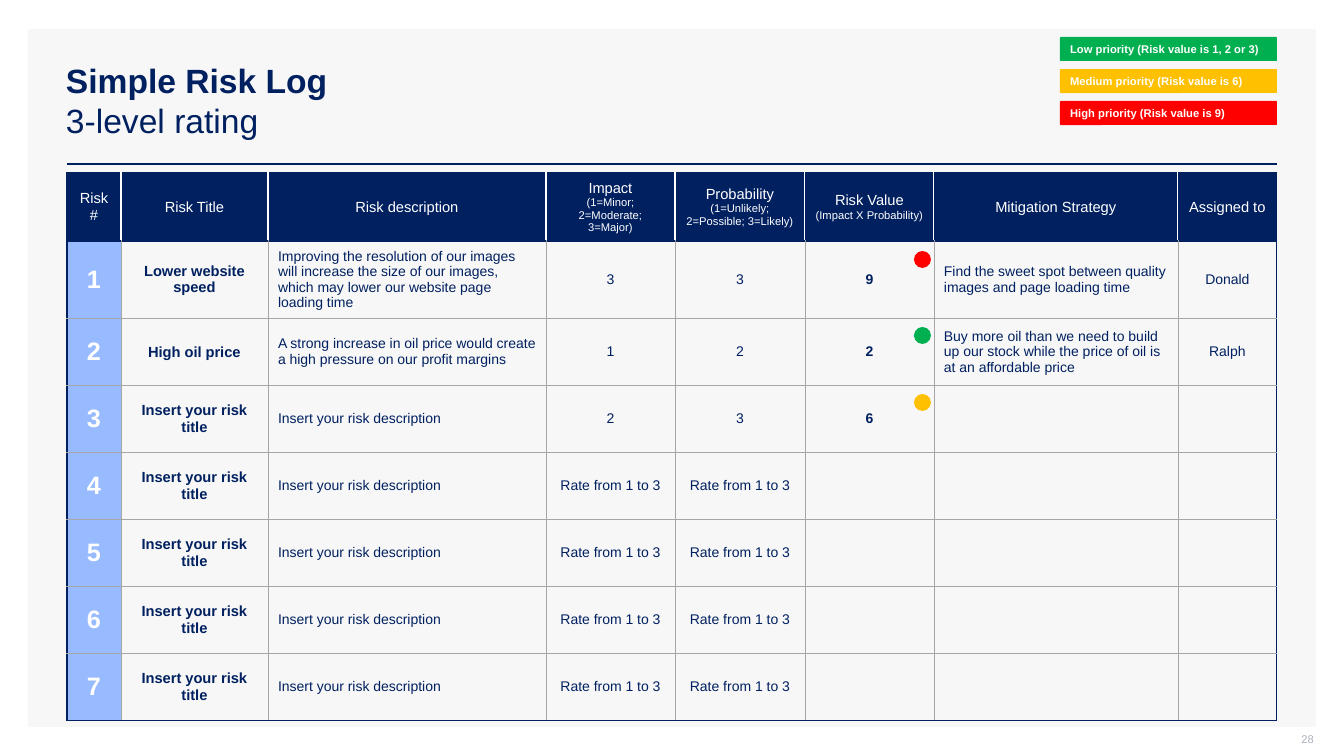
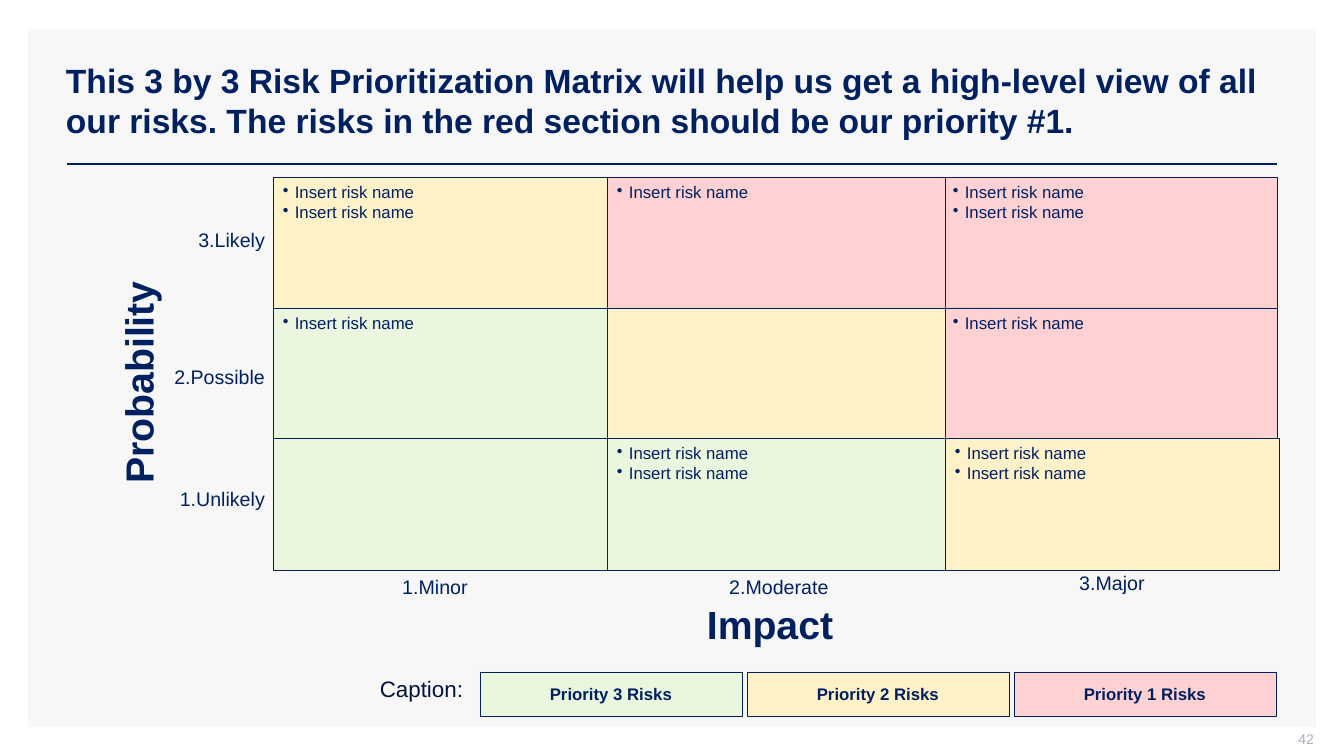
import lxml.etree
import pptx
import pptx.dml.color
import pptx.enum.shapes
import pptx.enum.text
import pptx.oxml.ns
import pptx.util

SCALE = 914400 / 100.8  # EMU in one px
FONT = "Arial"
COLORS = {
    "navy": "002060", "caption": "00153E", "white": "FFFFFF", "panel": "F7F7F7",
    "number": "ADAFBB", "grid": "A6A6A6", "index": "98BAFF",
    "low": "00B050", "medium": "FFC000", "high": "FF0000",
    "pale_low": "EBF6DE", "pale_medium": "FFF2C9", "pale_high": "FFD1D2",
}
SHAPE = pptx.enum.shapes.MSO_SHAPE
ALIGN = {"l": pptx.enum.text.PP_ALIGN.LEFT, "c": pptx.enum.text.PP_ALIGN.CENTER,
         "r": pptx.enum.text.PP_ALIGN.RIGHT}
TOP = pptx.enum.text.MSO_ANCHOR.TOP
MIDDLE = pptx.enum.text.MSO_ANCHOR.MIDDLE
qn = pptx.oxml.ns.qn

HEADERS = [
    ["Risk #"], ["Risk Title"], ["Risk description"],
    ["Impact", "(1=Minor; 2=Moderate; 3=Major)"],
    ["Probability", "(1=Unlikely; 2=Possible; 3=Likely)"],
    ["Risk Value", "(Impact X Probability)"],
    ["Mitigation Strategy"], ["Assigned to"],
]
TITLE, DESCRIPTION, RATE = "Insert your risk title", "Insert your risk description", "Rate from 1 to 3"
RISKS = [
    ["Lower website speed",
     "Improving the resolution of our images will increase the size of our images, "
     "which may lower our website page loading time",
     "3", "3", "9", "Find the sweet spot between quality images and page loading time", "Donald"],
    ["High oil price",
     "A strong increase in oil price would create a high pressure on our profit margins",
     "1", "2", "2",
     "Buy more oil than we need to build up our stock while the price of oil is at an affordable price",
     "Ralph"],
    [TITLE, DESCRIPTION, "2", "3", "6", "", ""],
] + [[TITLE, DESCRIPTION, RATE, RATE, "", "", ""]] * 4
# Format of each body column: size, colour, bold, alignment
COLUMN_FORMATS = [
    (18, "white", True, "c"), (10.5, "navy", True, "c"), (10, "navy", False, "l"),
    (10, "navy", False, "c"), (10, "navy", False, "c"), (10, "navy", True, "c"),
    (10, "navy", False, "l"), (10, "navy", False, "c"),
]
# Matrix rows from likely to unlikely: fill and number of risks per cell
MATRIX = [
    [("pale_medium", 2), ("pale_high", 1), ("pale_high", 2)],
    [("pale_low", 1), ("pale_medium", 0), ("pale_high", 1)],
    [("pale_low", 0), ("pale_low", 2), ("pale_medium", 2)],
]


def px(n):
    return pptx.util.Emu(round(n * SCALE))


def box(*lengths):
    return [px(n) for n in lengths]


def rgb(name):
    return pptx.dml.color.RGBColor.from_string(COLORS[name])


def write(tf, lines, size=12, color="navy", bold=False, align="l", bullet=False):
    """Fill a text frame; a line is a string or (string, format changes)."""
    for i, line in enumerate(lines):
        text, changes = (line, {}) if isinstance(line, str) else line
        p = tf.paragraphs[0] if i == 0 else tf.add_paragraph()
        p.alignment = ALIGN[align]
        if bullet:
            pPr = p._p.get_or_add_pPr()
            pPr.set("marL", str(px(12)))
            pPr.set("indent", str(-px(12)))
            lxml.etree.SubElement(pPr, qn("a:buChar")).set("char", "•")
        r = p.add_run()
        r.text = text
        values = {"name": FONT, "size": size, "bold": bold, **changes}
        values["size"] = pptx.util.Pt(values["size"])
        for key, value in values.items():
            setattr(r.font, key, value)
        r.font.color.rgb = rgb(color)


def add_text(s, at, lines, anchor=TOP, wrap=True, insets=(10, 5, 10, 5), **fmt):
    sp = s.shapes.add_textbox(*box(*at))
    tf = sp.text_frame
    frame = {"word_wrap": wrap, "vertical_anchor": anchor}
    frame.update(zip(("margin_left", "margin_top", "margin_right", "margin_bottom"), box(*insets)))
    for key, value in frame.items():
        setattr(tf, key, value)
    write(tf, lines, **fmt)
    return sp


def add_box(s, at, fill, lines=(), kind=SHAPE.RECTANGLE, outline=False, anchor=MIDDLE, **fmt):
    sp = s.shapes.add_shape(kind, *box(*at))
    sp.shadow.inherit = False
    sp.fill.solid()
    sp.fill.fore_color.rgb = rgb(fill)
    if outline:
        sp.line.color.rgb = rgb("navy")
        sp.line.width = pptx.util.Pt(0.25)
    else:
        sp.line.fill.background()
    sp.text_frame.word_wrap = True
    sp.text_frame.vertical_anchor = anchor
    write(sp.text_frame, lines, **fmt)
    return sp


def new_slide(prs, title, number, number_size):
    """Slide with panel, title, rule and page number."""
    s = prs.slides.add_slide(prs.slide_layouts[6])
    add_box(s, (28, 29, 1288, 698), "panel")
    rule = s.shapes.add_connector(pptx.enum.shapes.MSO_CONNECTOR.STRAIGHT, *box(67, 164, 1277, 164))
    rule.line.color.rgb = rgb("navy")
    rule.line.width = pptx.util.Pt(2)
    lxml.etree.SubElement(rule._element.spPr, qn("a:effectLst"))
    add_text(s, (56, 40, 1221, 120), title, anchor=MIDDLE, size=24, bold=True)
    add_text(s, (1012, 731, 302, 21), [number], anchor=MIDDLE, insets=(10, 0, 0, 5),
             size=number_size, color="number", align="r")
    return s


def set_borders(cell, **sides):
    """Draw the L, R, T and B borders, each given as (colour, points)."""
    tcPr = cell._tc.get_or_add_tcPr()
    for i, side in enumerate("LRTB"):
        color, width = sides[side]
        ln = lxml.etree.Element(qn("a:ln" + side), w=str(pptx.util.Pt(width)))
        fill = lxml.etree.SubElement(ln, qn("a:solidFill"))
        lxml.etree.SubElement(fill, qn("a:srgbClr")).set("val", COLORS[color])
        tcPr.insert(i, ln)


def add_risk_table(s, x, y, widths, row_height):
    rows, cols = len(RISKS) + 1, len(HEADERS)
    frame = s.shapes.add_table(rows, cols, *box(x, y, sum(widths), rows * row_height))
    table = frame.table
    table.first_row = table.horz_banding = False
    for column, width in zip(table.columns, widths):
        column.width = px(width)
    edge, grid, split = ("navy", 1), ("grid", 0.5), ("white", 1)
    for i, row in enumerate(table.rows):
        row.height = px(row_height)
        for j, cell in enumerate(row.cells):
            cell.vertical_anchor = MIDDLE
            inner = split if i == 0 else grid
            if i == 0:
                fill = "navy"
                main, *notes = HEADERS[j]
                write(cell.text_frame, [main] + [(note, {"size": 8}) for note in notes],
                      size=10.5, color="white", align="c")
            else:
                fill = "index" if j == 0 else None
                text = str(i) if j == 0 else RISKS[i - 1][j - 1]
                size, color, bold, align = COLUMN_FORMATS[j]
                write(cell.text_frame, [text] if text else [],
                      size=size, color=color, bold=bold, align=align)
            if fill:
                cell.fill.solid()
                cell.fill.fore_color.rgb = rgb(fill)
            else:
                cell.fill.background()
            set_borders(cell,
                        L=edge if j == 0 else inner,
                        R=edge if j == cols - 1 else inner,
                        T=edge if i <= 1 else grid,
                        B=edge if i in (0, rows - 1) else grid)


def add_priority_key(s, x, y, width, height, step):
    labels = [("low", "Low priority (Risk value is 1, 2 or 3)"),
              ("medium", "Medium priority (Risk value is 6)"),
              ("high", "High priority (Risk value is 9)")]
    for i, (fill, label) in enumerate(labels):
        sp = add_box(s, (x, y + i * step, width, height), fill, [label],
                     kind=SHAPE.ROUNDED_RECTANGLE, size=8, color="white", bold=True)
        sp.adjustments[0] = 0.04


def add_matrix(s, x, y):
    columns = [(0, 334), (334, 338), (670, 334)]
    rows = [(0, 131), (131, 130), (261, 132)]
    for i, (top, height) in enumerate(rows):
        for j in reversed(range(len(columns))):
            left, width = columns[j]
            if (i, j) == (2, 2):
                left += 2  # the last cell sits slightly further right
            fill, count = MATRIX[i][j]
            add_box(s, (x + left, y + top, width, height), fill, ["Insert risk name"] * count,
                    outline=True, anchor=TOP, bullet=True)


def add_axes(s, x, y):
    """Axis names and levels, placed from the matrix's top left corner."""
    for left, top, width, label in [(93, 393, 138, "1.Minor"), (344, 393, 324, "2.Moderate"),
                                    (705, 389, 268, "3.Major")]:
        add_text(s, (x + left, y + top, width, 34), [label], size=14, align="c")
    for top, label in [(46, "3.Likely"), (183, "2.Possible"), (305, "1.Unlikely")]:
        add_text(s, (x - 110, y + top, 112, 34), [label], size=14, align="r")
    for left, top, width, turn, label in [(-263, 172, 256, 270, "Probability"),
                                          (407, 413, 180, 0, "Impact")]:
        sp = add_text(s, (x + left, y + top, width, 67), [label], wrap=False,
                      insets=(20, 10, 20, 10), size=28, bold=True, align="c")
        sp.rotation = turn


def add_caption(s, x, y):
    add_text(s, (x, y - 5, 105, 44), ["Caption:"], anchor=MIDDLE, wrap=False,
             size=16, color="caption", align="c")
    for i, fill in enumerate(["pale_low", "pale_medium", "pale_high"]):
        add_box(s, (x + 111 + i * 267, y, 262, 44), fill, [f"Priority {3 - i} Risks"],
                outline=True, bold=True, align="c")


def risk_log(prs):
    s = new_slide(prs, ["Simple Risk Log", ("3-level rating", {"bold": False})], "28", 8)
    add_risk_table(s, 67, 173, [54, 147, 278, 129, 130, 129, 244, 99], 67)
    add_priority_key(s, 1060, 37, 217, 24, 32)
    # Rating dots
    for y, fill in [(251, "high"), (327, "low"), (394, "medium")]:
        add_box(s, (914, y, 17, 17), fill, kind=SHAPE.OVAL)


def risk_matrix(prs):
    s = new_slide(prs, ["This 3 by 3 Risk Prioritization Matrix will help us get a high-level view "
                        "of all our risks. The risks in the red section should be our priority #1."],
                  "42", 10)
    add_matrix(s, 273, 177)
    add_axes(s, 273, 177)
    add_caption(s, 369, 672)


def main():
    prs = pptx.Presentation()
    prs.slide_width, prs.slide_height = box(1344, 756)
    risk_log(prs)
    risk_matrix(prs)
    prs.save("out.pptx")


if __name__ == "__main__":
    main()
